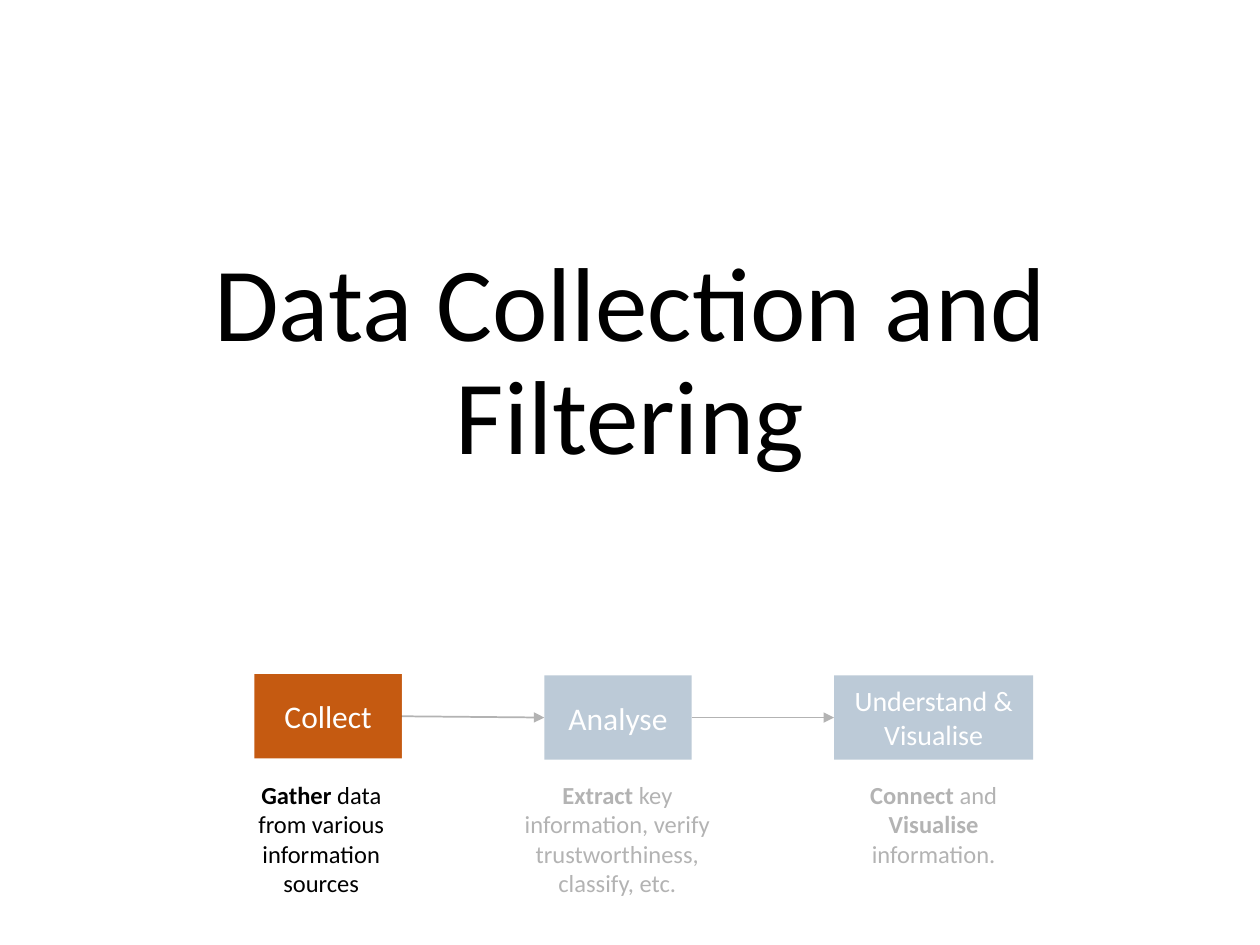
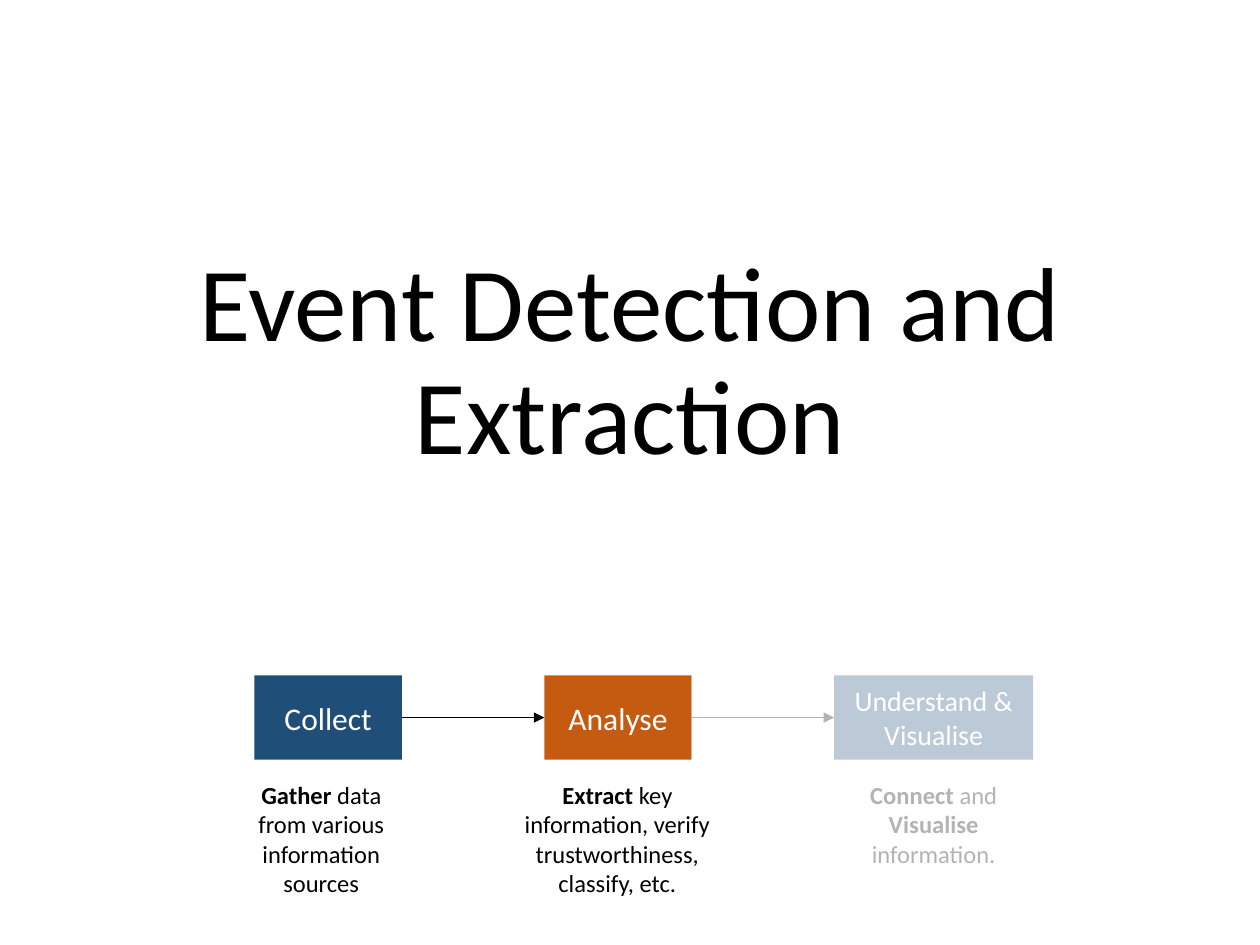
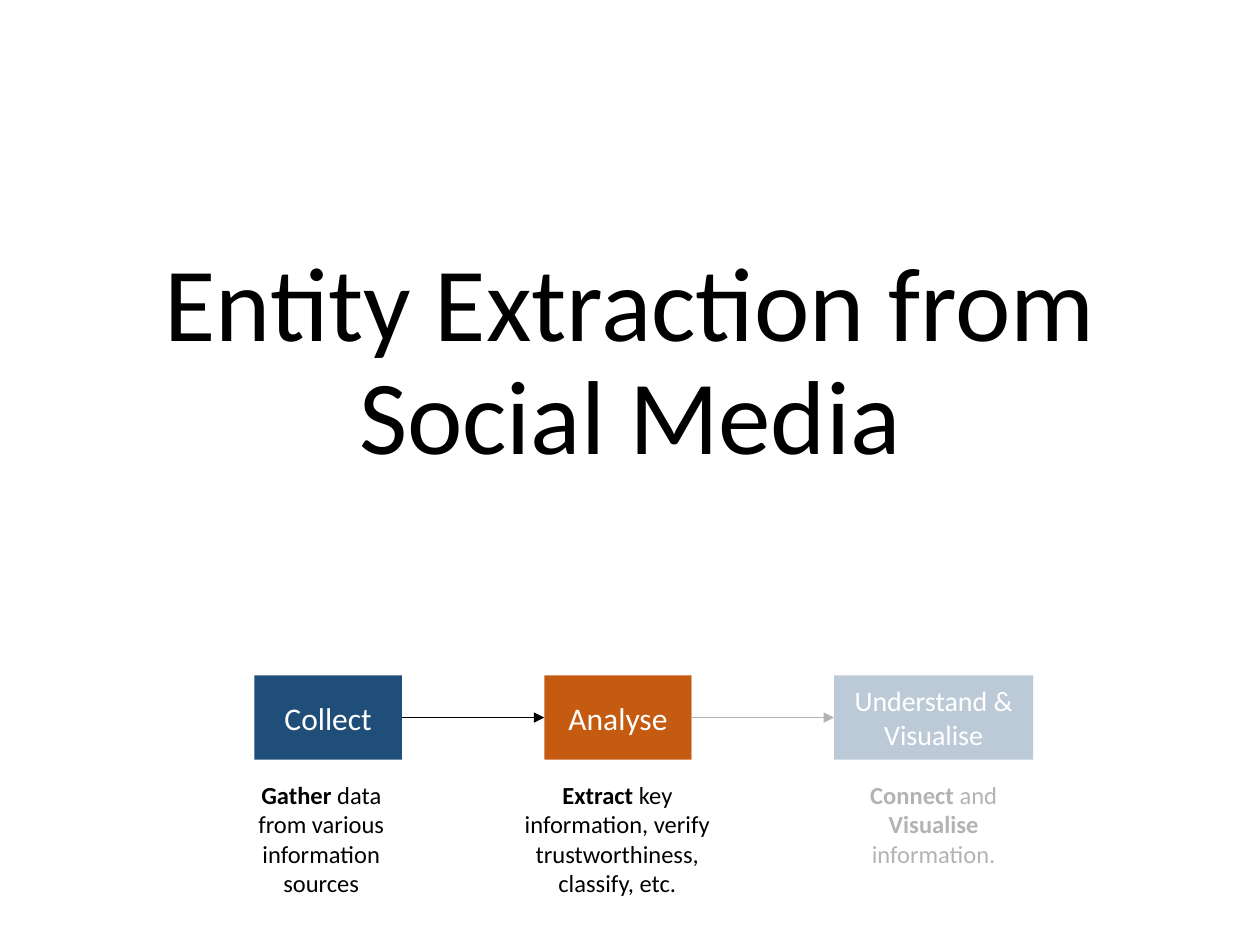
from typing import NamedTuple

from lxml import etree
from pptx import Presentation
from pptx.dml.color import RGBColor
from pptx.enum.shapes import MSO_CONNECTOR as Conn, MSO_SHAPE as Kind
from pptx.enum.text import MSO_ANCHOR as Anchor, PP_ALIGN as Align
from pptx.oxml.ns import qn
from pptx.shapes.autoshape import Shape
from pptx.slide import Slide
from pptx.text.text import _Paragraph as Para
from pptx.util import Inches, Pt

BLACK = RGBColor(0x00, 0x00, 0x00)
WHITE = RGBColor(0xFF, 0xFF, 0xFF)
BLUE = RGBColor(0x1F, 0x4E, 0x79)
ORANGE = RGBColor(0xC5, 0x5A, 0x11)
FONT = "Calibri"

LEFT, STEP = 2.02, 2.3  # first box and distance between boxes
BOX_TOP, BOX_HIGH = 5.36, 0.67
NOTE_TOP, NOTE_HIGH = 6.14, 1.21


class Area(NamedTuple):
    left: float
    top: float
    width: float
    height: float


class Stage(NamedTuple):
    name: str
    size: int
    width: float
    note_left: float
    note_width: float
    note: list[tuple[str, bool]]  # text, bold


class Page(NamedTuple):
    title: str
    active: int
    veils: list[Area]
    lift: float = 0  # how far the active box is raised


STAGES = [
    Stage("Collect", 18, 1.17, 1.92, 1.26,
          [("Gather", True), (" data from various information sources", False)]),
    Stage("Analyse", 18, 1.17, 4.03, 1.74,
          [("Extract", True),
           (" key information, verify trustworthiness, classify, etc.", False)]),
    Stage("Understand & Visualise", 16, 1.58, 6.67, 1.48,
          [("Connect ", True), ("and", False),
           (" Visualise", True), (" information.", False)]),
]

LAST_VEILS = [Area(6.09, 6.14, 3.2, 0.99), Area(5.49, 5.1, 3.2, 0.99)]
PAGES = [
    Page("Data Collection and Filtering", 0,
         [Area(3.19, 4.83, 5.94, 2.52)], lift=0.01),
    Page("Event Detection and Extraction", 1, LAST_VEILS),
    Page("Entity Extraction from Social Media", 1, LAST_VEILS),
]


def style(para: Para, size: int, color: RGBColor) -> None:
    para.alignment = Align.CENTER
    para.font.name = FONT
    para.font.size = Pt(size)
    para.font.color.rgb = color


def add_text(slide: Slide, area: Area, parts: list[tuple[str, bool]],
             size: int, anchor: Anchor = Anchor.TOP) -> Para:
    frame = slide.shapes.add_textbox(*map(Inches, area)).text_frame
    frame.word_wrap = True
    frame.vertical_anchor = anchor
    para = frame.paragraphs[0]
    style(para, size, BLACK)
    for text, bold in parts:
        run = para.add_run()
        run.text = text
        run.font.bold = bold
    return para


def add_rect(slide: Slide, area: Area, color: RGBColor) -> Shape:
    rect = slide.shapes.add_shape(Kind.RECTANGLE, *map(Inches, area))
    rect.shadow.inherit = False
    rect.fill.solid()
    rect.fill.fore_color.rgb = color
    rect.line.fill.background()
    return rect


def add_box(slide: Slide, stage: Stage, left: float, top: float,
            color: RGBColor) -> Shape:
    box = add_rect(slide, Area(left, top, stage.width, BOX_HIGH), color)
    frame = box.text_frame
    frame.word_wrap = True
    frame.vertical_anchor = Anchor.MIDDLE
    frame.text = stage.name
    style(frame.paragraphs[0], stage.size, WHITE)
    return box


def add_arrow(slide: Slide, start: Shape, end: Shape) -> None:
    arrow = slide.shapes.add_connector(Conn.STRAIGHT, 0, 0, 0, 0)
    arrow.begin_connect(start, 3)
    arrow.end_connect(end, 1)
    arrow.line.color.rgb = BLACK
    arrow.line.width = Pt(1)
    line = arrow.line._get_or_add_ln()
    etree.SubElement(line, qn("a:tailEnd"), type="triangle")
    etree.SubElement(arrow._element.spPr, qn("a:effectLst"))


def add_veil(slide: Slide, area: Area) -> None:
    """Fade what lies below with 70% white."""
    veil = add_rect(slide, area, WHITE)
    color = veil._element.spPr.find(".//" + qn("a:srgbClr"))
    etree.SubElement(color, qn("a:alpha"), val="70000")


def add_page(slide: Slide, page: Page) -> None:
    # Title
    title = add_text(slide, Area(0.75, 1.23, 8.5, 2.61),
                     [(page.title, False)], 60, Anchor.BOTTOM)
    title.line_spacing = 0.9

    # Stages and arrows
    boxes = []
    for i, stage in enumerate(STAGES):
        on = i == page.active
        top = BOX_TOP - page.lift if on else BOX_TOP
        boxes.append(add_box(slide, stage, LEFT + i * STEP, top,
                             ORANGE if on else BLUE))
    for start, end in zip(boxes, boxes[1:]):
        add_arrow(slide, start, end)

    # Notes below the stages
    for stage in STAGES:
        area = Area(stage.note_left, NOTE_TOP, stage.note_width, NOTE_HIGH)
        add_text(slide, area, stage.note, 14)

    # Veils over the stages still to come
    for area in page.veils:
        add_veil(slide, area)


def main() -> None:
    deck = Presentation()
    deck.slide_width, deck.slide_height = Inches(10), Inches(7.5)
    for page in PAGES:
        add_page(deck.slides.add_slide(deck.slide_layouts[6]), page)
    deck.save("out.pptx")


if __name__ == "__main__":
    main()
